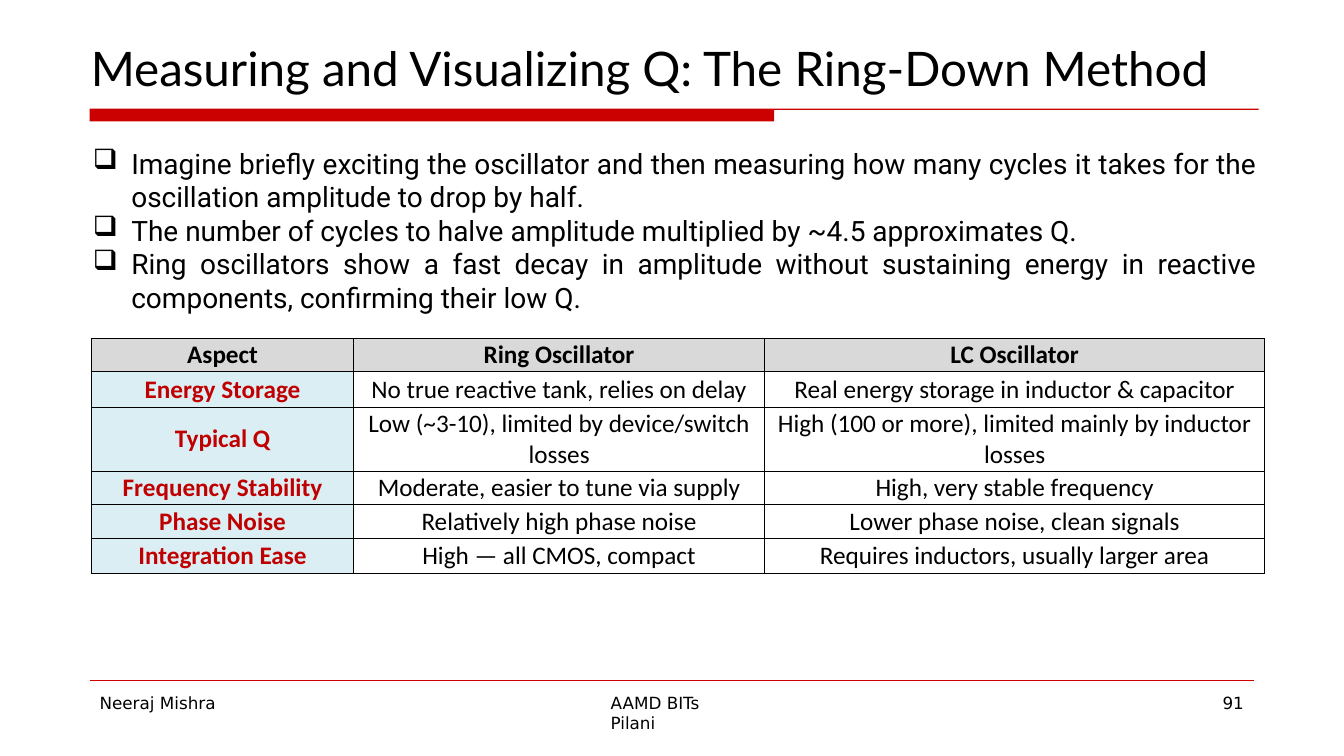
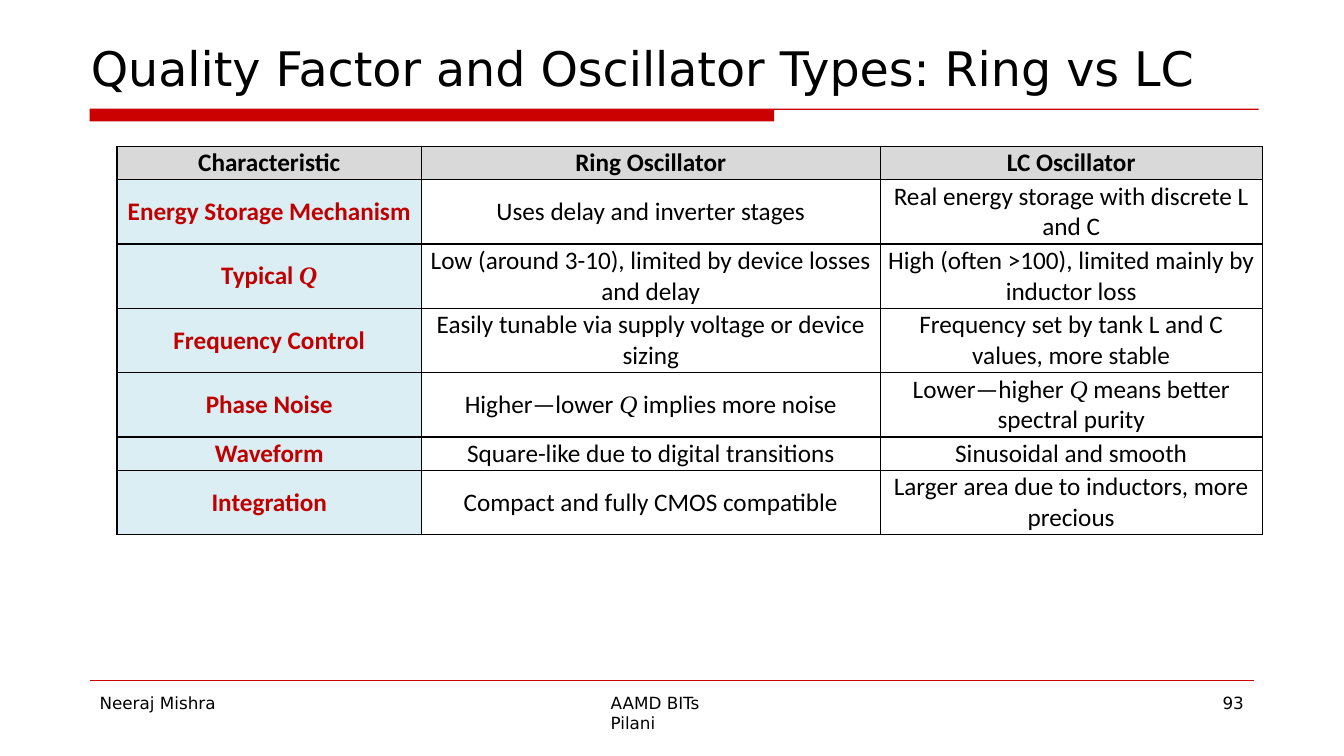
"""Build two slides that compare ring and LC oscillators."""
from lxml.etree import SubElement
from pptx import Presentation
from pptx.dml.color import RGBColor
from pptx.enum.shapes import MSO_CONNECTOR
from pptx.enum.text import MSO_ANCHOR as Anchor, PP_ALIGN as Align
from pptx.oxml import parse_xml
from pptx.oxml.ns import nsdecls, qn
from pptx.util import Cm, Pt

COLORS = {"rule": "CB0000", "text": "000000", "label": "C00000",
          "header": "D9D9D9", "label_fill": "DBEEF4"}
BODY_SIZE, TABLE_SIZE, FOOTER_SIZE = Pt(20), Pt(18), Pt(12)
LEFT = 2.26
FOOTERS = [(2.51, 3.02, "Neeraj Mishra"), (15.39, 3.12, "AAMD BITs Pilani")]
ONE_LINE, TWO_LINES = 0.84, 1.62

SLIDES = [
    {
        "title": "Measuring and Visualizing Q: The Ring-Down Method",
        "title_font": "Lato",
        "number": "91",
        "bullets": [
            "Imagine briefly exciting the oscillator and then measuring how many cycles "
            "it takes for the oscillation amplitude to drop by half.",
            "The number of cycles to halve amplitude multiplied by ~4.5 approximates Q.",
            "Ring oscillators show a fast decay in amplitude without sustaining energy "
            "in reactive components, confirming their low Q.",
        ],
        "table_at": (2.31, 8.53),
        "columns": [6.6, 10.36, 12.6],
        "heights": [ONE_LINE, 0.89, TWO_LINES, ONE_LINE, ONE_LINE, 0.89],
        "rows": [
            ("Aspect", "Ring Oscillator", "LC Oscillator"),
            ("Energy Storage", "No true reactive tank, relies on delay",
             "Real energy storage in inductor & capacitor"),
            ("Typical Q", "Low (~3-10), limited by device/switch losses",
             "High (100 or more), limited mainly by inductor losses"),
            ("Frequency Stability", "Moderate, easier to tune via supply",
             "High, very stable frequency"),
            ("Phase Noise", "Relatively high phase noise",
             "Lower phase noise, clean signals"),
            ("Integration Ease", "High — all CMOS, compact",
             "Requires inductors, usually larger area"),
        ],
    },
    {
        "title": "Quality Factor and Oscillator Types: Ring vs LC",
        "title_font": "DejaVu Sans",
        "number": "93",
        "bullets": [],
        "table_at": (2.95, 3.69),
        "columns": [7.67, 11.56, 9.63],
        "heights": [ONE_LINE] + [TWO_LINES] * 4 + [ONE_LINE, TWO_LINES],
        "rows": [
            ("Characteristic", "Ring Oscillator", "LC Oscillator"),
            ("Energy Storage Mechanism", "Uses delay and inverter stages",
             "Real energy storage with discrete L and C"),
            ("Typical *Q*", "Low (around 3-10), limited by device losses and delay",
             "High (often >100), limited mainly by inductor loss"),
            ("Frequency Control", "Easily tunable via supply voltage or device sizing",
             "Frequency set by tank L and C values, more stable"),
            ("Phase Noise", "Higher—lower *Q* implies more noise",
             "Lower—higher *Q* means better spectral purity"),
            ("Waveform", "Square-like due to digital transitions",
             "Sinusoidal and smooth"),
            ("Integration", "Compact and fully CMOS compatible",
             "Larger area due to inductors, more precious"),
        ],
    },
]


def add_text(slide, box, lines, font_name, size, bullet=None):
    """Add a text box without insets, with an optional bullet on each line."""
    shape = slide.shapes.add_textbox(*map(Cm, box))
    frame = shape.text_frame
    frame.word_wrap = True
    frame.margin_left = frame.margin_right = frame.margin_top = frame.margin_bottom = 0
    for index, line in enumerate(lines):
        paragraph = frame.paragraphs[0] if index == 0 else frame.add_paragraph()
        paragraph.text = line
        if bullet:
            paragraph.alignment = Align.JUSTIFY
            properties = paragraph._p.get_or_add_pPr()
            properties.set("marL", str(Cm(0.97)))
            properties.set("indent", str(-Cm(0.97)))
            SubElement(properties, qn("a:buChar"), char=bullet)
        paragraph.font.name = font_name
        paragraph.font.size = size
        paragraph.font.color.rgb = RGBColor.from_string(COLORS["text"])


def fill_cell(cell, text, color, bold, fill):
    """Write centred text with *italic* symbols, then set fill and borders."""
    cell.margin_left = cell.margin_right = cell.margin_top = cell.margin_bottom = Cm(0.03)
    cell.vertical_anchor = Anchor.MIDDLE
    paragraph = cell.text_frame.paragraphs[0]
    paragraph.alignment = Align.CENTER
    paragraph.font.size = TABLE_SIZE
    paragraph.font.bold = bold
    for index, part in enumerate(text.split("*")):
        if part:
            run = paragraph.add_run()
            run.text = part
            run.font.size = TABLE_SIZE
            run.font.bold = bold
            run.font.italic = index % 2 == 1
            run.font.name = "Times New Roman" if index % 2 else "Calibri"
            run.font.color.rgb = RGBColor.from_string(COLORS[color])
    if fill:
        cell.fill.solid()
        cell.fill.fore_color.rgb = RGBColor.from_string(COLORS[fill])
    else:
        cell.fill.background()
    for index, side in enumerate(("lnL", "lnR", "lnT", "lnB")):
        cell._tc.get_or_add_tcPr().insert(index, parse_xml(
            f'<a:{side} {nsdecls("a")} w="{Pt(1)}"><a:solidFill>'
            f'<a:srgbClr val="{COLORS["text"]}"/></a:solidFill></a:{side}>'))


presentation = Presentation()
presentation.slide_width, presentation.slide_height = Cm(33.87), Cm(19.05)

for content in SLIDES:
    slide = presentation.slides.add_slide(presentation.slide_layouts[6])

    builder = slide.shapes.build_freeform(Cm(31.72), Cm(2.74))
    builder.add_line_segments([(Cm(x), Cm(y)) for x, y in (
        (LEFT, 2.74), (LEFT, 3.06), (19.51, 3.06), (19.51, 2.77), (31.72, 2.77))])
    title_rule = builder.convert_to_shape()
    title_rule.shadow.inherit = False
    title_rule.fill.solid()
    title_rule.fill.fore_color.rgb = RGBColor.from_string(COLORS["rule"])
    title_rule.line.fill.background()

    footer_rule = slide.shapes.add_connector(
        MSO_CONNECTOR.STRAIGHT, Cm(LEFT), Cm(17.15), Cm(31.6), Cm(17.15))
    footer_rule.line.color.rgb = RGBColor.from_string(COLORS["rule"])
    footer_rule.line.width = Pt(0.25)
    SubElement(footer_rule._element.spPr, qn("a:effectLst"))

    add_text(slide, (2.29, 0.97, 29.41, 1.45), [content["title"]],
             content["title_font"], Pt(34))
    if content["bullets"]:
        add_text(slide, (2.34, 3.68, 29.34, 4.27), content["bullets"],
                 "Roboto", BODY_SIZE, bullet="❑")
    for left, width, text in FOOTERS + [(30.81, 0.8, content["number"])]:
        add_text(slide, (left, 17.46, width, 0.58), [text], "DejaVu Sans", FOOTER_SIZE)

    columns, heights, rows = content["columns"], content["heights"], content["rows"]
    left, top = content["table_at"]
    table = slide.shapes.add_table(
        len(rows), len(columns), Cm(left), Cm(top), Cm(sum(columns)), Cm(sum(heights))).table
    table.horz_banding = False
    for column, width in zip(table.columns, columns):
        column.width = Cm(width)
    for row_index, (row, height, texts) in enumerate(zip(table.rows, heights, rows)):
        row.height = Cm(height)
        for column_index, (cell, text) in enumerate(zip(row.cells, texts)):
            if row_index == 0:
                fill_cell(cell, text, "text", True, "header")
            elif column_index == 0:
                fill_cell(cell, text, "label", True, "label_fill")
            else:
                fill_cell(cell, text, "text", False, None)

presentation.save("out.pptx")
